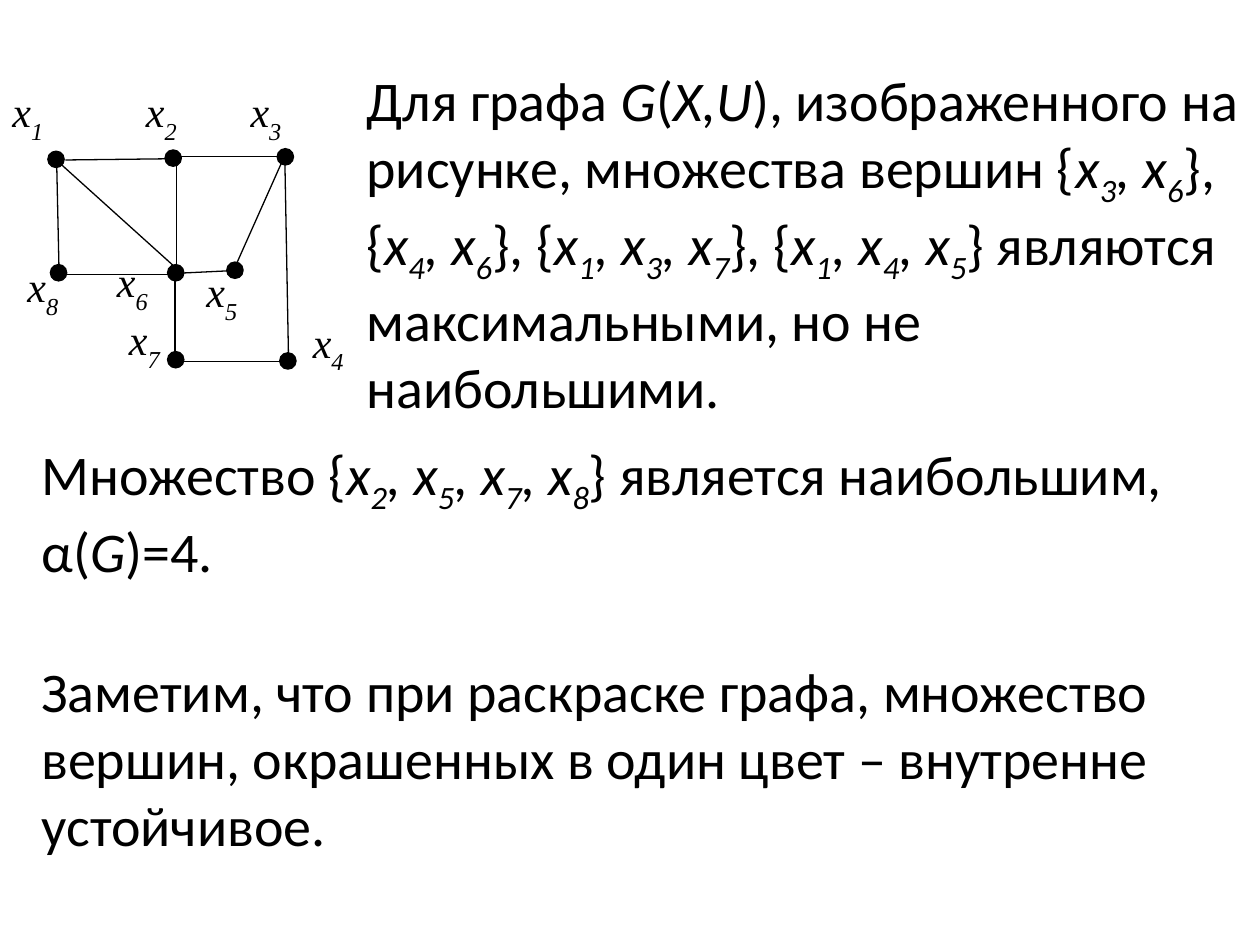
import itertools

import pptx
import pptx.dml.color
import pptx.enum.shapes
import pptx.enum.text
import pptx.oxml
import pptx.oxml.ns
import pptx.util

Inches, Pt = pptx.util.Inches, pptx.util.Pt
ALIGN = pptx.enum.text.PP_ALIGN
FIT = pptx.enum.text.MSO_AUTO_SIZE

THEME = {
    "ink": pptx.dml.color.RGBColor(0, 0, 0),
    "body_font": "Calibri", "body_size": 32, "body_drop": -25,
    "label_font": "Times New Roman", "label_size": 24, "label_drop": -30,
    "line": 0.75, "dot": 0.13,
}

# Content: *...* is italic, _ lowers the next character
PARAGRAPHS = [
    ("Для графа* G*(*X,U*), изображенного на рисунке, множества вершин "
     "{*x_3, x_6*}, {*x_4, x_6*}, {*x_1, x_3, x_7*}, {*x_1, x_4, x_5*} "
     "являются максимальными, но не наибольшими.", (2.81, 0.47, 7.19, 2.79)),
    ("Множество {*x_2, x_5, x_7, x_8*} является наибольшим, α(*G*)=4.",
     (0.23, 3.44, 9.53, 1.18)),
    ("Заметим, что при раскраске графа, множество вершин, окрашенных "
     "в один цвет – внутренне устойчивое.", (0.23, 5.16, 9.3, 1.72)),
]

# Vertex number: (dot left and top, label left and top, label alignment)
VERTICES = {
    1: ((0.38, 1.2), (0, 0.63), ALIGN.LEFT),
    2: ((1.31, 1.19), (1.06, 0.63), ALIGN.LEFT),
    3: ((2.2, 1.18), (1.89, 0.63), ALIGN.LEFT),
    4: ((2.22, 2.8), (2.23, 2.46), ALIGN.CENTER),
    5: ((1.8, 2.08), (1.54, 2.06), ALIGN.LEFT),
    6: ((1.33, 2.1), (0.83, 1.98), ALIGN.LEFT),
    7: ((1.33, 2.79), (0.77, 2.44), ALIGN.CENTER),
    8: ((0.4, 2.1), (0.12, 2.02), ALIGN.LEFT),
}
LABEL_WIDTH = {ALIGN.LEFT: 0.83, ALIGN.CENTER: 0.75}
LABEL_HEIGHT = 0.74

EDGES = [
    (1.36, 1.26, 0.52, 1.27),  # x2 - x1
    (2.29, 1.24, 1.41, 1.24),  # x3 - x2
    (0.45, 1.3, 0.47, 2.2),    # x1 - x8
    (0.48, 1.3, 1.4, 2.13),    # x1 - x6
    (1.4, 1.22, 1.4, 2.17),    # x2 - x6
    (2.24, 1.28, 1.87, 2.11),  # x3 - x5
    (2.26, 1.22, 2.29, 2.84),  # x3 - x4
    (1.8, 2.15, 1.39, 2.17),   # x5 - x6
    (1.38, 2.18, 0.5, 2.18),   # x6 - x8
    (1.39, 2.18, 1.39, 2.83),  # x6 - x7
    (1.37, 2.87, 2.28, 2.87),  # x7 - x4
]


def split_runs(marked):
    """Return (text, italic, lowered) for each stretch of equal format."""
    letters, italic, lowered = [], False, False
    for letter in marked:
        if letter == "*":
            italic = not italic
        elif letter == "_":
            lowered = True
        else:
            letters.append((letter, italic, lowered))
            lowered = False
    for style, stretch in itertools.groupby(letters, key=lambda item: item[1:]):
        yield "".join(item[0] for item in stretch), *style


def add_text(slide, marked, box, font, size, drop,
             align=ALIGN.LEFT, fit=FIT.NONE):
    frame = slide.shapes.add_textbox(*map(Inches, box)).text_frame
    frame.word_wrap = True
    frame.auto_size = fit
    paragraph = frame.paragraphs[0]
    paragraph.alignment = align
    for text, italic, lowered in split_runs(marked):
        run = paragraph.add_run()
        run.text = text
        run.font.name = font
        run.font.size = Pt(size)
        run.font.italic = italic
        run.font.color.rgb = THEME["ink"]
        if lowered:
            run.font._element.set("baseline", str(drop * 1000))


def add_edge(slide, ends):
    edge = slide.shapes.add_connector(
        pptx.enum.shapes.MSO_CONNECTOR.STRAIGHT, *map(Inches, ends))
    edge.line.color.rgb = THEME["ink"]
    edge.line.width = Pt(THEME["line"])
    edge._element.spPr.append(
        pptx.oxml.parse_xml(f"<a:effectLst {pptx.oxml.ns.nsdecls('a')}/>"))


def add_dot(slide, left, top):
    dot = slide.shapes.add_shape(
        pptx.enum.shapes.MSO_SHAPE.OVAL, Inches(left), Inches(top),
        Inches(THEME["dot"]), Inches(THEME["dot"]))
    dot.shadow.inherit = False
    dot.fill.solid()
    dot.fill.fore_color.rgb = THEME["ink"]
    dot.line.color.rgb = THEME["ink"]
    dot.line.width = Pt(THEME["line"])


def main():
    deck = pptx.Presentation()
    deck.slide_width, deck.slide_height = Inches(10), Inches(7.5)
    slide = deck.slides.add_slide(deck.slide_layouts[6])

    # Graph
    for ends in EDGES:
        add_edge(slide, ends)
    for number, (dot_at, label_at, align) in VERTICES.items():
        add_dot(slide, *dot_at)
        add_text(slide, f"*х_{number}*",
                 (*label_at, LABEL_WIDTH[align], LABEL_HEIGHT),
                 font=THEME["label_font"], size=THEME["label_size"],
                 drop=THEME["label_drop"], align=align)

    # Explanation
    for marked, box in PARAGRAPHS:
        add_text(slide, marked, box, font=THEME["body_font"],
                 size=THEME["body_size"], drop=THEME["body_drop"],
                 fit=FIT.SHAPE_TO_FIT_TEXT)

    deck.save("out.pptx")


if __name__ == "__main__":
    main()
